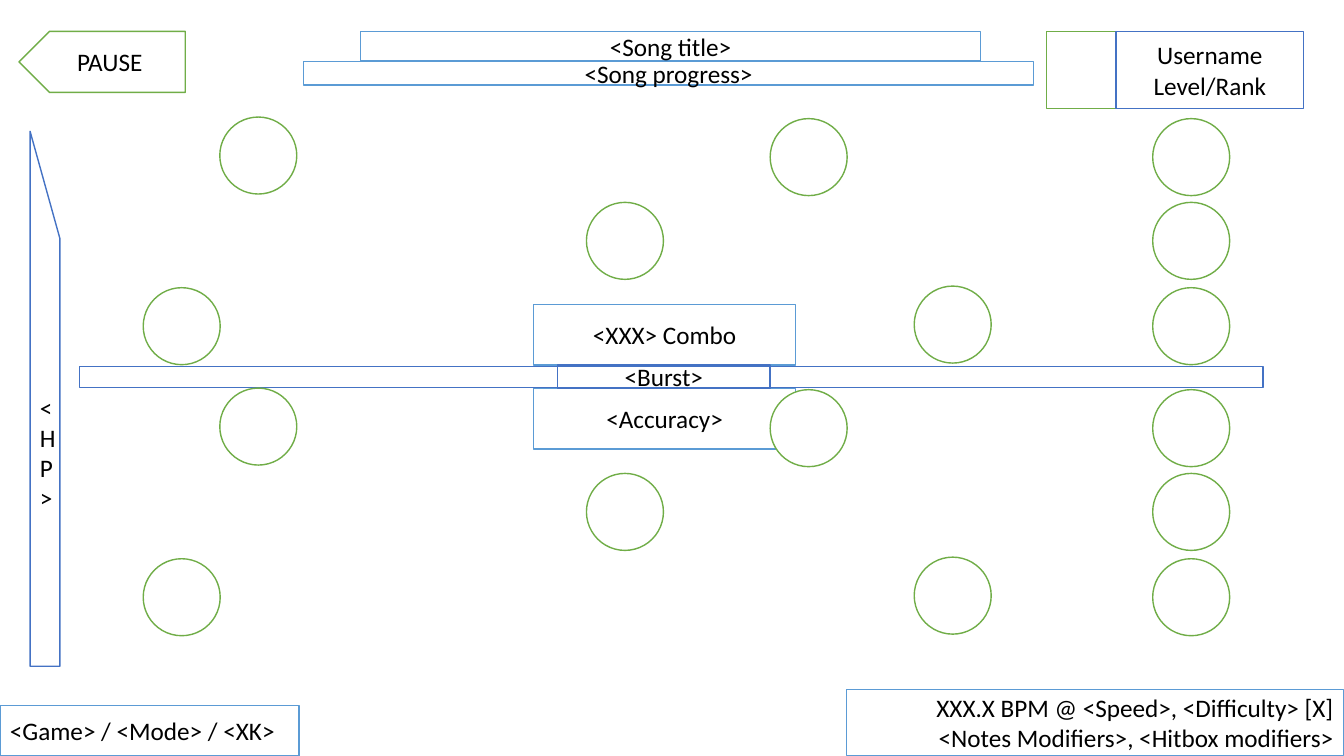
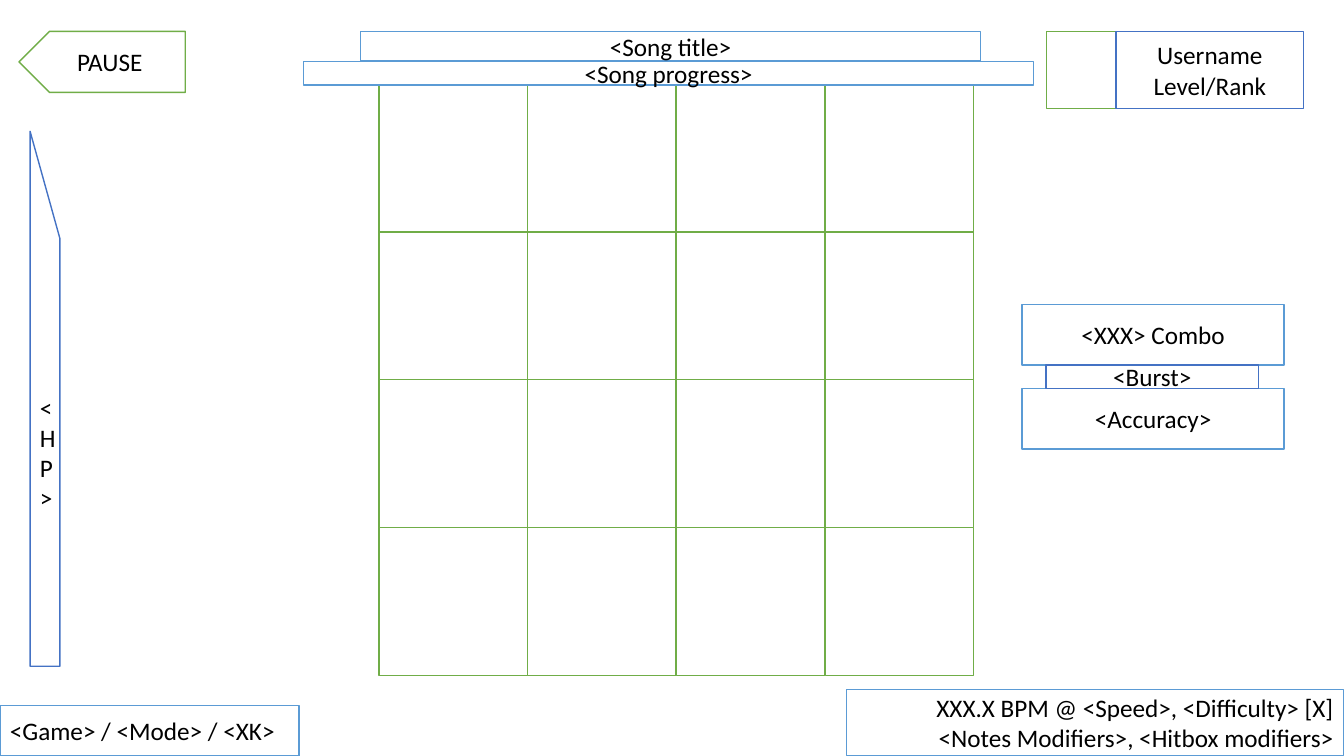
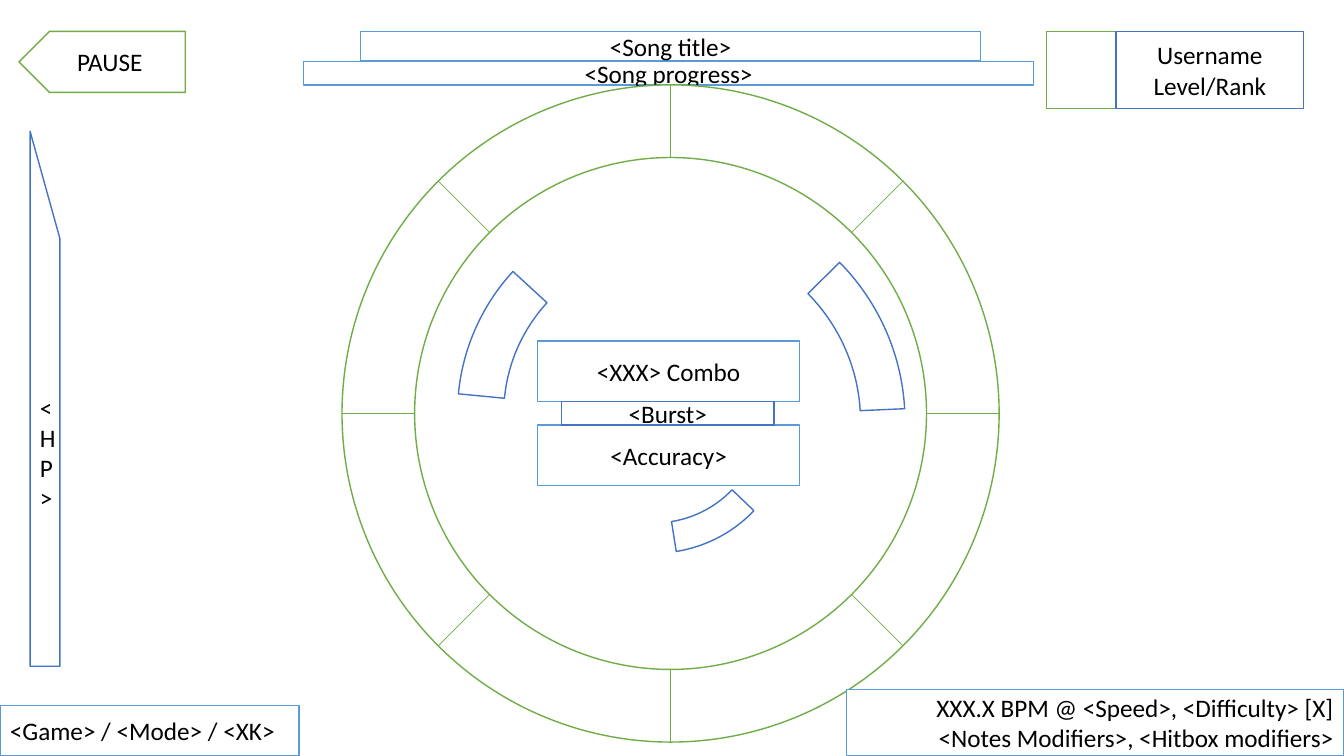
from math import cos, radians, sin

from lxml.etree import SubElement
from pptx import Presentation
from pptx.dml.color import RGBColor
from pptx.enum.shapes import MSO_CONNECTOR, MSO_SHAPE
from pptx.enum.text import PP_ALIGN
from pptx.oxml.ns import qn
from pptx.util import Cm, Pt

COLOURS = {
    "white": "FFFFFF",
    "text": "000000",
    "info": "5B9BD5",
    "gauge": "4472C4",
    "play": "70AD47",
}
FONT = "Calibri"


def colour(name):
    return RGBColor.from_string(COLOURS[name])


# Element kinds; positions and sizes are in centimetres
def add_box(page, kind, left, top, width, height, line, text="",
            filled=True, align=PP_ALIGN.CENTER, flipped=False):
    box = page.shapes.add_shape(kind, Cm(left), Cm(top), Cm(width), Cm(height))
    box.shadow.inherit = False
    if filled:
        box.fill.solid()
        box.fill.fore_color.rgb = colour("white")
    else:
        box.fill.background()
    box.line.color.rgb = colour(line)
    box.line.width = Pt(1)
    if flipped:
        box.element.spPr.xfrm.set("flipH", "1")
    if text:
        box.text_frame.word_wrap = True
        para = box.text_frame.paragraphs[0]
        para.text = text
        para.alignment = align
        para.font.name = FONT
        para.font.size = Pt(18)
        para.font.color.rgb = colour("text")
    return box


def add_panel(page, left, top, width, height, line, text="", **options):
    return add_box(page, MSO_SHAPE.RECTANGLE, left, top, width, height,
                   line, text, **options)


def add_circle(page, left, top, size):
    add_box(page, MSO_SHAPE.OVAL, left, top, size, size, "play")


def add_spoke(page, centre_x, centre_y, inner, outer, angle):
    across, down = cos(radians(angle)), sin(radians(angle))
    spoke = page.shapes.add_connector(
        MSO_CONNECTOR.STRAIGHT,
        Cm(centre_x + inner * across), Cm(centre_y + inner * down),
        Cm(centre_x + outer * across), Cm(centre_y + outer * down))
    spoke.line.color.rgb = colour("play")
    spoke.line.width = Pt(0.5)
    SubElement(spoke.element.spPr, qn("a:effectLst"))


def add_arc(page, left, top, width, height, rotation, end, thickness):
    arc = add_box(page, MSO_SHAPE.BLOCK_ARC, left, top, width, height, "gauge")
    arc.rotation = rotation
    # Angles are stored in 60000ths of a degree, scaled down by 100000
    arc.adjustments[0] = 269.03 * 0.6
    arc.adjustments[1] = end * 0.6
    arc.adjustments[2] = thickness


# Parts found on every page
def add_header(page):
    add_box(page, MSO_SHAPE.PENTAGON, 0.48, 0.79, 4.19, 1.54, "play", "PAUSE",
            flipped=True)
    add_panel(page, 26.37, 0.79, 1.76, 1.94, "play")
    add_panel(page, 28.13, 0.79, 4.72, 1.94, "gauge", "Username\nLevel/Rank")
    add_panel(page, 9.09, 0.79, 15.62, 0.75, "info", "<Song title>",
              filled=False)
    add_panel(page, 7.65, 1.55, 18.4, 0.59, "info", "<Song progress>",
              filled=False)
    add_box(page, MSO_SHAPE.FLOWCHART_MANUAL_INPUT, 0.76, 3.31, 0.75, 13.48,
            "gauge", "<HP>", filled=False, flipped=True)


def add_footer(page):
    add_panel(page, 0, 17.78, 7.54, 1.27, "info", "<Game> / <Mode> / <XK>",
              align=PP_ALIGN.LEFT)
    add_panel(page, 21.34, 17.37, 12.52, 1.67, "info",
              "XXX.X BPM @ <Speed>, <Difficulty> [X]\n"
              "<Notes Modifiers>, <Hitbox modifiers>", align=PP_ALIGN.RIGHT)


def add_score(page, left, top):
    add_panel(page, left, top, 6.6, 1.53, "info", "<XXX> Combo", filled=False)
    add_panel(page, left, top + 2.12, 6.6, 1.53, "info", "<Accuracy>",
              filled=False)
    add_panel(page, left + 0.6, top + 1.53, 5.36, 0.59, "gauge", "<Burst>",
              filled=False)


# Play fields
def build_circles(page):
    add_header(page)
    add_score(page, 13.45, 7.67)
    add_panel(page, 2.01, 9.23, 29.82, 0.53, "gauge", filled=False)
    notes = [(5.54, 2.95), (29.05, 2.99), (14.78, 5.1), (19.41, 2.99),
             (29.05, 5.1), (29.05, 7.25), (23.04, 7.21), (3.61, 7.25)]
    for shift in (0, 6.83):
        for left, top in notes:
            add_circle(page, left, top + shift, 1.94)
    add_footer(page)


def build_grid(page):
    for column in range(4):
        for row in range(4):
            add_panel(page, 9.55 + 3.75 * column, 2.13 + 3.72 * row,
                      3.74, 3.74, "play")
    add_header(page)
    add_score(page, 25.76, 7.67)
    add_footer(page)


def build_ring(page):
    add_header(page)
    centre_x, centre_y, inner, outer = 16.9, 10.42, 6.45, 8.28
    for radius in (outer, inner):
        add_circle(page, centre_x - radius, centre_y - radius, 2 * radius)
    for angle in range(0, 360, 45):
        add_spoke(page, centre_x, centre_y, inner, outer, angle)
    add_score(page, 13.55, 8.59)
    add_arc(page, 11.53, 5.13, 10.59, 10.59, 276.4, 306.22, 0.11)
    add_arc(page, 11.51, 4.95, 11.33, 11.2, 46.3, 311.16, 0.1)
    add_arc(page, 13.03, 7.01, 6.93, 6.93, 134.7, 306.22, 0.11)
    add_footer(page)


def main():
    deck = Presentation()
    deck.slide_width, deck.slide_height = Cm(33.87), Cm(19.05)
    blank = deck.slide_layouts[6]
    for build in (build_circles, build_grid, build_ring):
        build(deck.slides.add_slide(blank))
    deck.save("out.pptx")


if __name__ == "__main__":
    main()
